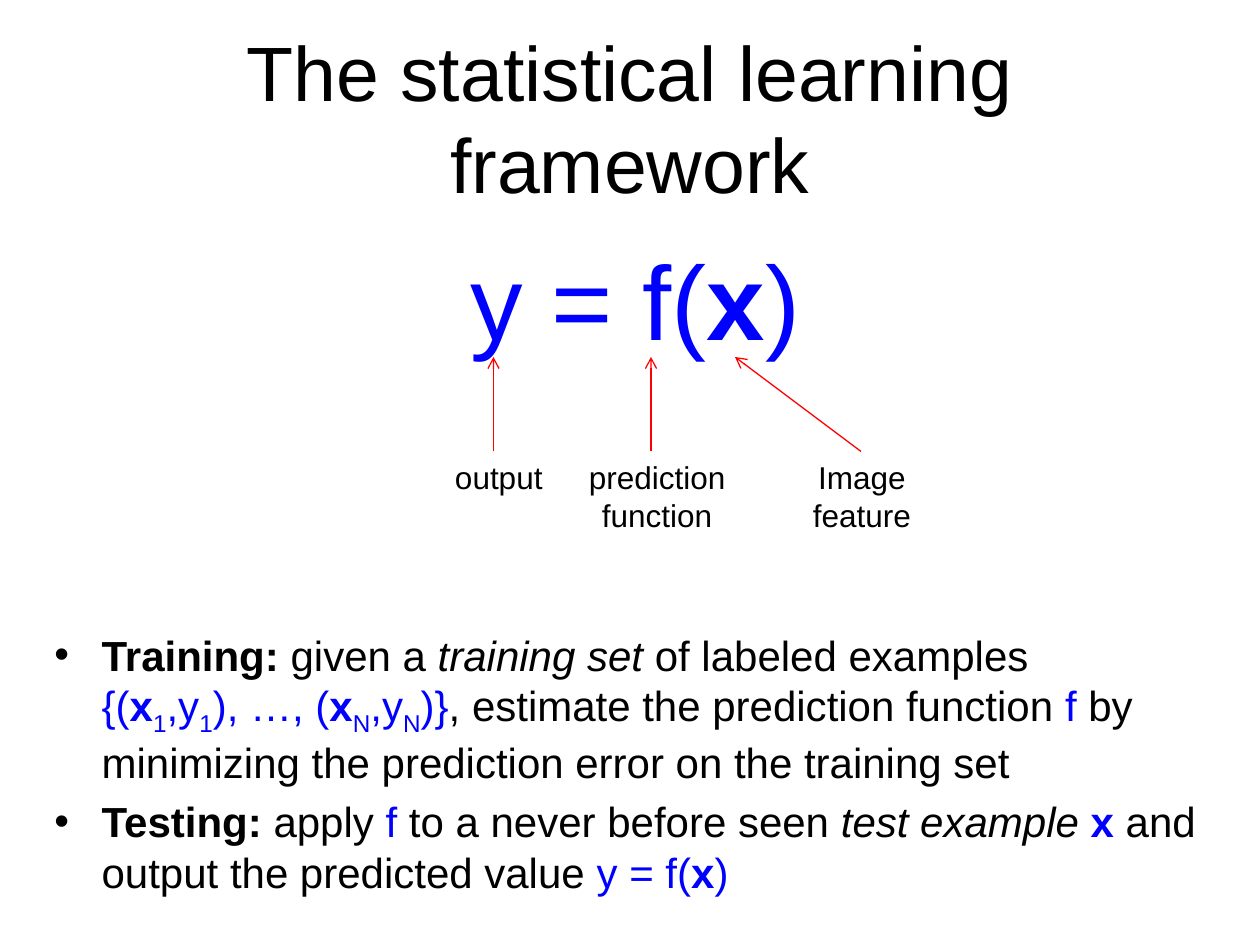
from lxml.etree import SubElement
from pptx import Presentation
from pptx.dml.color import RGBColor
from pptx.enum.shapes import MSO_CONNECTOR as Connector
from pptx.enum.text import MSO_ANCHOR as Anchor, MSO_AUTO_SIZE as AutoSize, PP_ALIGN as Align
from pptx.oxml.ns import qn
from pptx.util import Pt

BLACK = RGBColor(0, 0, 0)
BLUE = RGBColor(0, 0, 255)
RED = RGBColor(255, 0, 0)
FONT = "Arial"
ARROW_TOP, ARROW_BOTTOM = 204, 258

# Rich text: (text, style), where b = bold, i = italic, s = subscript, m = blue maths
BREAK = ("\v", "")
FORMULA = [("y = f(", "m"), ("x", "mb"), (")", "m")]
TRAINING = [
    ("Training: ", "b"), ("given a ", ""), ("training set ", "i"),
    ("of labeled examples", ""), BREAK,
    ("{(", "m"), ("x", "mb"), ("1", "ms"), (",y", "m"), ("1", "ms"),
    ("), …, (", "m"), ("x", "mb"), ("N", "ms"), (",y", "m"), ("N", "ms"), (")}", "m"),
    (", estimate the prediction function ", ""), ("f ", "m"),
    ("by minimizing the prediction error on the training set", ""),
]
TESTING = [
    ("Testing:", "b"), (" apply ", ""), ("f", "m"), (" to a never before seen ", ""),
    ("test example ", "i"), ("x", "mb"), (" and output the predicted value ", ""),
] + FORMULA

# Label, left, width, arrow tail x, arrow head x
LABELS = [
    ("output", 252.5, 65, 282, 282),
    ("prediction function", 301, 149, 372, 372),
    ("Image feature", 433, 119, 492, 420),
]


def format_font(font, size, color=BLACK):
    font.name = FONT
    font.size = Pt(size)
    font.color.rgb = color


def add_title(slide, text):
    title = slide.shapes.title
    title.left, title.top, title.width, title.height = Pt(36), Pt(21.6), Pt(648), Pt(90)
    frame = title.text_frame
    frame.text = text
    frame.auto_size = AutoSize.NONE
    frame.vertical_anchor = Anchor.MIDDLE
    paragraph = frame.paragraphs[0]
    paragraph.alignment = Align.CENTER
    format_font(paragraph.runs[0].font, 44)


def add_text_box(slide, left, top, width, height):
    frame = slide.shapes.add_textbox(Pt(left), Pt(top), Pt(width), Pt(height)).text_frame
    frame.word_wrap = True
    return frame


def fill_paragraph(paragraph, parts, size):
    for text, style in parts:
        if text == "\v":
            paragraph.add_line_break()
            continue
        run = paragraph.add_run()
        run.text = text
        format_font(run.font, size, BLUE if "m" in style else BLACK)
        run.font.bold = "b" in style
        run.font.italic = "i" in style
        if "s" in style:
            run.font._element.set("baseline", "-25000")


def add_formula(slide):
    paragraph = add_text_box(slide, 24, 131, 678, 76).paragraphs[0]
    paragraph.alignment = Align.CENTER
    fill_paragraph(paragraph, FORMULA, 60)


def add_bullets(slide, items):
    frame = add_text_box(slide, 24, 356, 678, 160)
    for index, parts in enumerate(items):
        paragraph = frame.add_paragraph() if index else frame.paragraphs[0]
        properties = paragraph._p.get_or_add_pPr()
        properties.set("marL", str(Pt(27)))
        properties.set("indent", str(-Pt(27)))
        SubElement(properties, qn("a:buFont"), typeface=FONT)
        SubElement(properties, qn("a:buChar"), char="•")
        if index:
            paragraph.space_before = Pt(4.8)
        fill_paragraph(paragraph, parts, 24)


def add_arrow(slide, tail_x, head_x):
    arrow = slide.shapes.add_connector(
        Connector.STRAIGHT, Pt(tail_x), Pt(ARROW_BOTTOM), Pt(head_x), Pt(ARROW_TOP))
    arrow.line.color.rgb = RED
    arrow.line.width = Pt(0.75)
    SubElement(arrow.line._get_or_add_ln(), qn("a:tailEnd"), type="arrow")
    SubElement(arrow._element.spPr, qn("a:effectLst"))


def add_label(slide, text, left, width):
    frame = add_text_box(slide, left, ARROW_BOTTOM, width, 51)
    frame.text = text
    paragraph = frame.paragraphs[0]
    paragraph.alignment = Align.CENTER
    format_font(paragraph.runs[0].font, 18)


def main():
    presentation = Presentation()
    presentation.slide_width, presentation.slide_height = Pt(720), Pt(540)
    slide = presentation.slides.add_slide(presentation.slide_layouts[5])

    # Title and formula
    add_title(slide, "The statistical learning framework")
    add_formula(slide)

    # Arrows and labels that explain the formula
    for text, left, width, tail_x, head_x in LABELS:
        add_arrow(slide, tail_x, head_x)
        add_label(slide, text, left, width)

    # The two phases
    add_bullets(slide, [TRAINING, TESTING])
    presentation.save("out.pptx")


if __name__ == "__main__":
    main()
